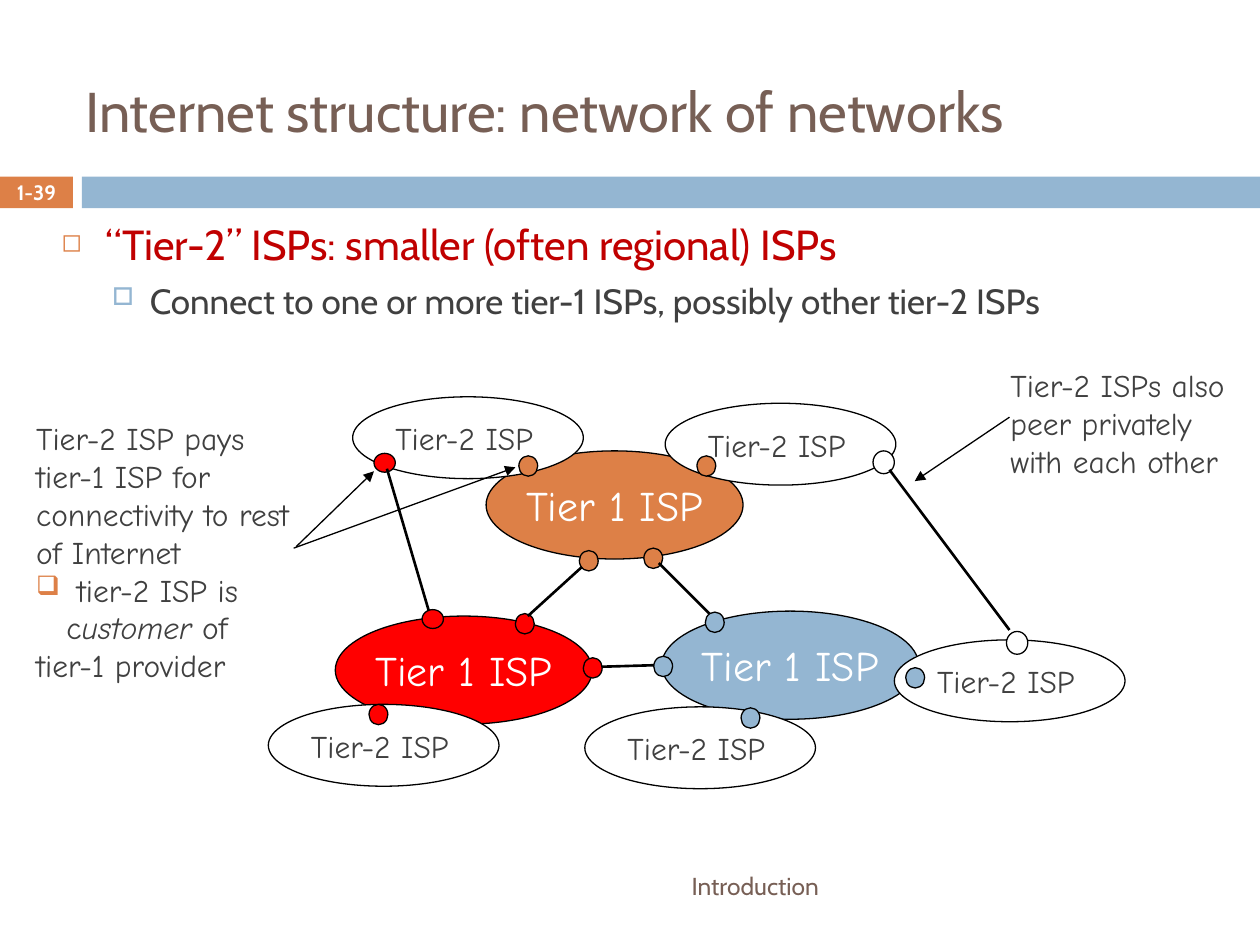
from collections import namedtuple

from lxml.etree import SubElement
from pptx import Presentation
from pptx.dml.color import RGBColor
from pptx.enum.shapes import MSO_CONNECTOR as Link, MSO_SHAPE as Preset
from pptx.enum.text import MSO_ANCHOR as Anchor, PP_ALIGN as Align
from pptx.oxml.ns import qn
from pptx.util import Cm, Pt

Box = namedtuple("Box", "left top width height")
COLORS = {
    "orange": "DD8047", "blue": "94B6D2", "red": "FF0000", "white": "FFFFFF",
    "black": "000000", "title": "775F55", "headline": "C00000", "text": "404040",
}
HEADING, HAND = "Cabin", "Comic Neue"
TIER1_SIZE, TIER2_SIZE = (5.18, 2.18), (4.65, 1.65)
DOT, CUSTOMER_DOT, PEER_DOT = (0.38, 0.41), (0.43, 0.38), (0.43, 0.46)


def rgb(name):
    """Return the named colour."""
    return RGBColor.from_string(COLORS[name])


def inside(box, left, top, width, height):
    """Return a box placed relative to the corner of another."""
    return Box(box.left + left, box.top + top, width, height)


def style(para, font, size, color, bold=None):
    """Format every run of a paragraph."""
    for span in para.runs:
        span.font.name, span.font.size, span.font.bold = font, Pt(size), bold
        span.font.color.rgb = rgb(color)


def add_bullet(para, char, color, percent, margin, hang):
    """Give a paragraph a coloured bullet with a hanging indent."""
    props = para._p.get_or_add_pPr()
    props.set("marL", str(Cm(margin)))
    props.set("indent", str(-Cm(hang)))
    tint = SubElement(props, qn("a:buClr"))
    SubElement(tint, qn("a:srgbClr"), val=COLORS[color])
    SubElement(props, qn("a:buSzPct"), val=str(percent * 1000))
    SubElement(props, qn("a:buChar"), char=char)


def add_text(page, box, text, font, size, color, anchor=Anchor.TOP,
             align=Align.LEFT, wrap=True, bold=None):
    """Add a text box and return its frame."""
    frame = page.shapes.add_textbox(*map(Cm, box)).text_frame
    frame.word_wrap, frame.vertical_anchor = wrap, anchor
    frame.text = text
    for para in frame.paragraphs:
        para.alignment = align
        style(para, font, size, color, bold)
    return frame


def add_area(page, preset, box, fill, outlined=True):
    """Add a flat filled shape."""
    shape = page.shapes.add_shape(preset, *map(Cm, box))
    shape.shadow.inherit = False
    shape.fill.solid()
    shape.fill.fore_color.rgb = rgb(fill)
    if outlined:
        shape.line.color.rgb, shape.line.width = rgb("black"), Pt(0.75)
    else:
        shape.line.fill.background()
    return shape


def add_dot(page, box, left, top, color, size=DOT):
    """Add a connection point."""
    add_area(page, Preset.OVAL, inside(box, left, top, *size), color)


def add_line(page, box, x1, y1, x2, y2, arrow=False):
    """Add a link, or a thin arrow."""
    ends = box.left + x1, box.top + y1, box.left + x2, box.top + y2
    line = page.shapes.add_connector(Link.STRAIGHT, *map(Cm, ends))
    line.line.color.rgb = rgb("black")
    line.line.width = Pt(0.75 if arrow else 1.5)
    if arrow:
        SubElement(line.line._get_or_add_ln(), qn("a:tailEnd"), type="triangle")
    SubElement(line._element.spPr, qn("a:effectLst"))


def add_header(page, box):
    """Place the title over the band with the page number."""
    tile, gap, band_top, band_height = 1.47, 0.18, 2.92, 0.64
    start = tile + gap
    add_area(page, Preset.RECTANGLE, inside(box, 0, band_top, tile, band_height),
             "orange", False)
    add_area(page, Preset.RECTANGLE,
             inside(box, start, band_top, box.width - start, band_height),
             "blue", False)
    add_text(page, inside(box, tile, 0, 20.9, 3.18),
             "Internet structure: network of networks",
             HEADING, 32, "title", Anchor.MIDDLE)
    add_text(page, inside(box, 0, band_top - 0.03, tile, 0.69), "1-39",
             HEADING, 11.9, "white", Anchor.MIDDLE, Align.CENTER, bold=True)


def add_points(page, box):
    """Place the two bullet points."""
    frame = add_text(page, box,
                     "“Tier-2” ISPs: smaller (often regional) ISPs\n"
                     "Connect to one or more tier-1 ISPs, possibly other tier-2 ISPs",
                     HEADING, 24, "headline")
    first, second = frame.paragraphs
    first.space_before, second.space_before = Pt(7), Pt(5.5)
    second.level = 1
    style(second, HEADING, 20, "text")
    add_bullet(first, "◻", "orange", 60, 0.89, 0.89)
    add_bullet(second, "□", "blue", 70, 1.78, 0.76)


def add_tier1(page, box, color):
    """Place one tier-1 provider."""
    shape = add_area(page, Preset.OVAL, box, color)
    frame = shape.text_frame
    frame.text, frame.word_wrap = "Tier 1 ISP", False
    frame.vertical_anchor = Anchor.MIDDLE
    frame.paragraphs[0].alignment = Align.CENTER
    style(frame.paragraphs[0], HAND, 24, "white")


def add_tier2(page, box):
    """Place one tier-2 provider."""
    add_area(page, Preset.OVAL, box, "white")
    add_text(page, inside(box, 0.61, 0.33, 3.73, 1.02), "Tier-2 ISP",
             HAND, 18, "text", wrap=False)


def add_network(page, box):
    """Place the providers, their connection points and links."""
    for left, top, color in ((1.35, 4.42, "red"), (4.39, 1.09, "orange"),
                             (7.93, 4.32, "blue")):
        add_tier1(page, inside(box, left, top, *TIER1_SIZE), color)
    for dot in ((8.81, 4.34, "blue"), (7.57, 3.05, "orange"),
                (6.27, 3.1, "orange"), (4.98, 4.37, "red"),
                (6.35, 5.26, "red"), (7.77, 5.23, "blue")):
        add_dot(page, box, *dot)
    for link in ((6.73, 5.44, 7.77, 5.41), (7.87, 3.35, 8.89, 4.37),
                 (5.23, 4.42, 6.32, 3.43)):
        add_line(page, box, *link)
    for left, top, dot in ((8, 0.13, (8.64, 1.19, "orange")),
                           (1.7, 0, (5.05, 1.19, "orange")),
                           (0, 6.2, (2.03, 6.2, "red")),
                           (6.38, 6.25, (9.53, 6.27, "blue")),
                           (12.62, 4.9, (12.85, 5.46, "blue"))):
        add_tier2(page, inside(box, left, top, *TIER2_SIZE))
        add_dot(page, box, *dot)
    add_dot(page, box, 2.13, 1.14, "red", CUSTOMER_DOT)
    add_line(page, box, 2.39, 1.45, 3.28, 4.47)
    add_dot(page, box, 3.1, 4.29, "red", CUSTOMER_DOT)
    add_dot(page, box, 12.19, 1.09, "white", PEER_DOT)
    add_dot(page, box, 14.88, 4.73, "white", PEER_DOT)
    add_line(page, box, 12.52, 1.47, 14.94, 4.7)


def add_payment_note(page, box):
    """Place the note on paying for transit and its two arrows."""
    frame = add_text(page, box,
                     "Tier-2 ISP pays tier-1 ISP for connectivity to rest of Internet\n"
                     " tier-2 ISP is c\ntier-1 provider", HAND, 18, "text")
    customer = frame.paragraphs[1]
    for text, italic in (("ustomer", True), (" of", False)):
        span = customer.add_run()
        span.text, span.font.italic = text, italic
    style(customer, HAND, 18, "text")
    add_bullet(customer, "❑", "orange", 85, 0.61, 0.61)
    add_line(page, box, 5.44, 2.72, 9.91, 1.09, arrow=True)
    add_line(page, box, 5.49, 2.69, 7.06, 1.17, arrow=True)


def add_peering_note(page, box):
    """Place the note on private peering and its arrow."""
    add_text(page, box, "Tier-2 ISPs also peer privately with each other",
             HAND, 18, "text")
    add_line(page, box, 0.23, 1.15, -1.68, 2.44, arrow=True)


def add_footer(page, box):
    """Place the chapter name."""
    add_text(page, box, "Introduction", HEADING, 14, "title",
             Anchor.MIDDLE, Align.RIGHT)


def main():
    """Build and save the deck."""
    deck = Presentation()
    deck.slide_width, deck.slide_height = Cm(25.4), Cm(19.05)
    page = deck.slides.add_slide(deck.slide_layouts[6])
    add_header(page, Box(0, 0.64, 25.4, 3.56))
    add_points(page, Box(0.99, 4.29, 23.44, 2.54))
    add_footer(page, Box(1.7, 17.35, 15.06, 1.02))
    add_network(page, Box(5.41, 8, 17.27, 7.85))
    add_payment_note(page, Box(0.48, 8.33, 5.69, 5.59))
    add_peering_note(page, Box(20.12, 7.26, 5, 3.3))
    deck.save("out.pptx")


if __name__ == "__main__":
    main()
